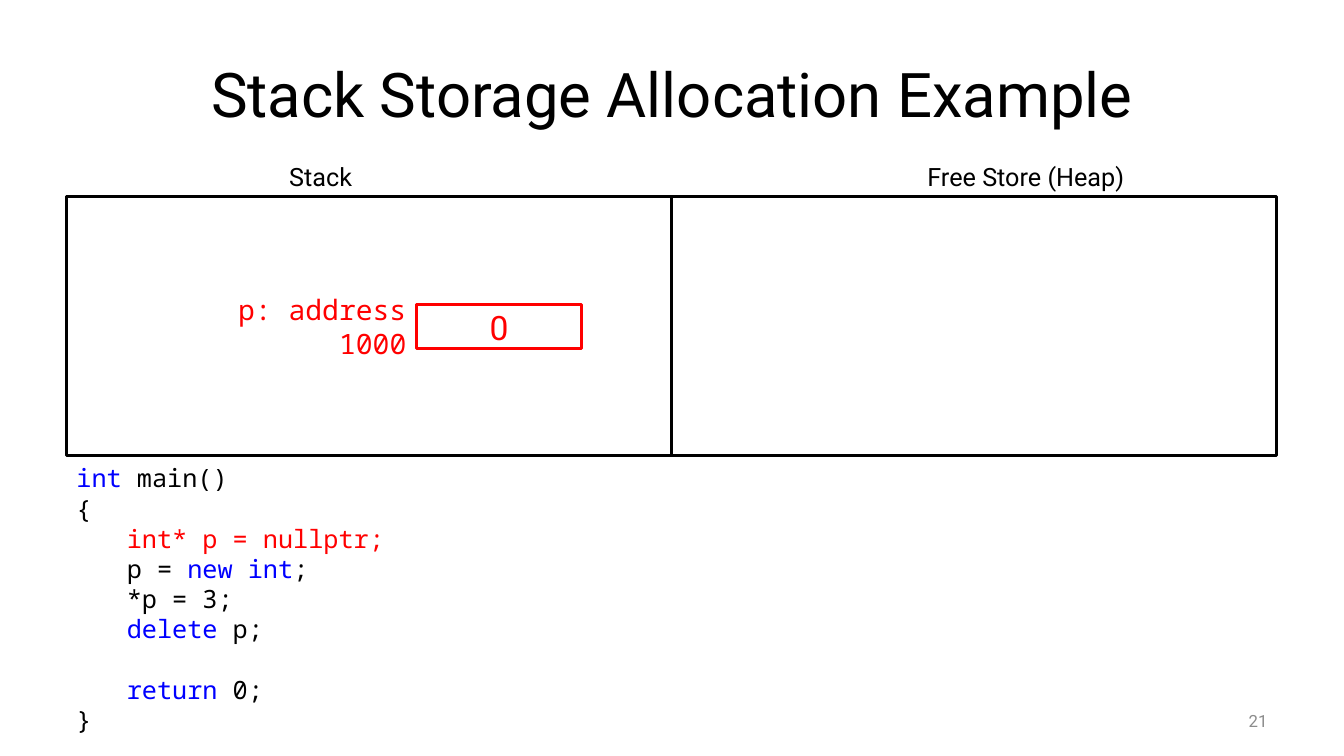
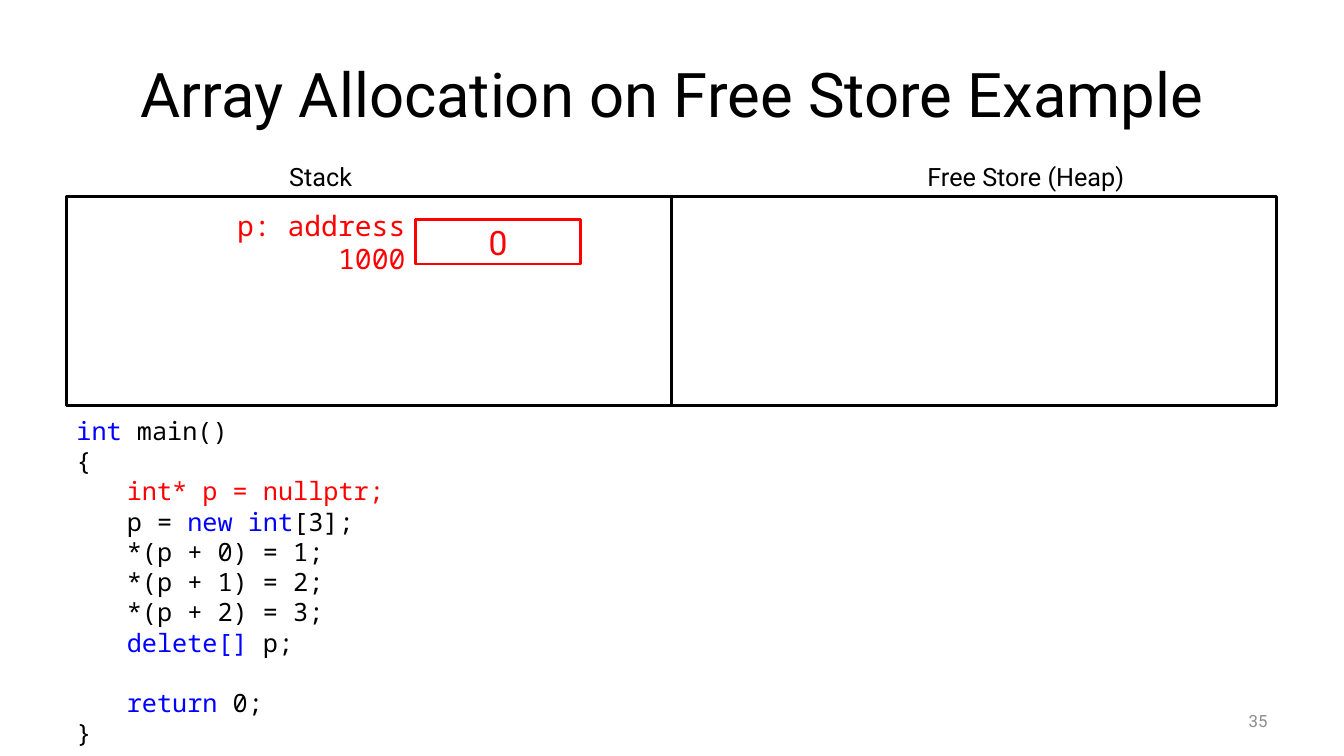
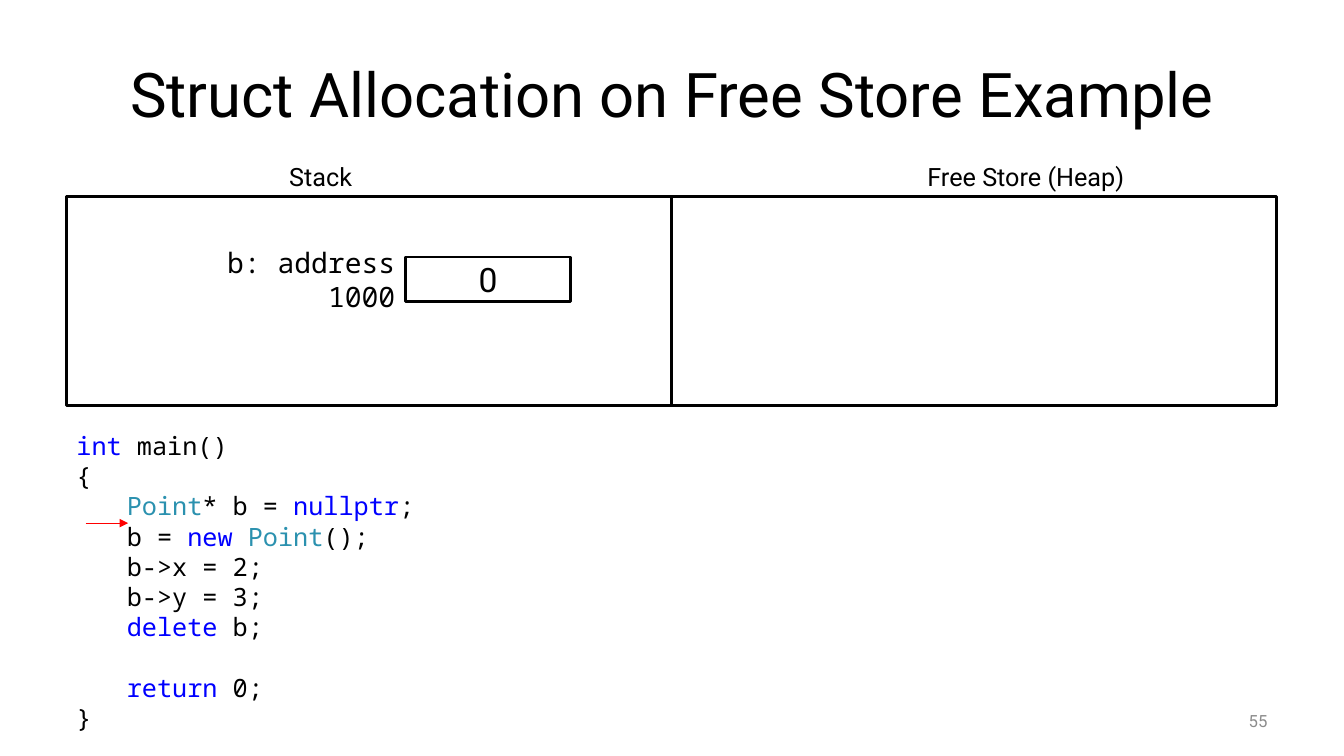
"""Build three slides that trace stack and free store allocation in C++."""
from dataclasses import dataclass

from lxml.etree import SubElement
from pptx import Presentation
from pptx.dml.color import RGBColor as RGB
from pptx.enum.shapes import MSO_CONNECTOR as Link, MSO_SHAPE as Shape
from pptx.enum.text import MSO_ANCHOR as Anchor, MSO_AUTO_SIZE as Fit, PP_ALIGN as Align
from pptx.oxml.ns import qn
from pptx.util import Inches, Pt


@dataclass(frozen=True)
class Theme:
    sans: str = "Roboto"
    mono: str = "Noto Sans Mono"
    ink: str = "000000"
    paper: str = "FFFFFF"
    red: str = "FF0000"
    blue: str = "0000FF"
    teal: str = "2B91AF"
    gray: str = "8C8C8C"
    title: int = 44
    value: int = 24
    name: int = 20
    body: int = 18
    foot: int = 12
    gap: float = 21.6
    edge: float = 2
    thin: float = 0.75


T = Theme()
LEFT, TOP, WIDE = 0.66, 1.95, 6
CELL_W, CELL_H, NAME_W = 1.64, 0.44, 2.58
HEADS = [("Stack", 2.77, 1.21), ("Free Store (Heap)", 9.1, 2.4)]

SLIDES = [
    dict(
        title="Stack Storage Allocation Example", num="21", high=2.57,
        cell=(4.13, 3.02), name="p: address 1000", hue=T.red, code_y=4.54,
        code=[
            [("int* p = nullptr;", T.red)],
            ["p = ", ("new int", T.blue), ";"],
            ["*p = 3;"],
            [("delete", T.blue), " p;"],
        ],
    ),
    dict(
        title="Array Allocation on Free Store Example", num="35", high=2.07,
        cell=(4.12, 2.18), name="p: address 1000", hue=T.red, code_y=4.07,
        code=[
            [("int* p = nullptr;", T.red)],
            ["p = ", ("new int", T.blue), "[3];"],
            ["*(p + 0) = 1;"],
            ["*(p + 1) = 2;"],
            ["*(p + 2) = 3;"],
            [("delete[]", T.blue), " p;"],
        ],
    ),
    dict(
        title="Struct Allocation on Free Store Example", num="55", high=2.07,
        cell=(4.02, 2.55), name="b: address 1000", hue=T.ink, code_y=4.22,
        code=[
            [("Point", T.teal), "* b = ", ("nullptr", T.blue), ";"],
            ["b = ", ("new ", T.blue), ("Point", T.teal), "();"],
            ["b->x = 2;"],
            ["b->y = 3;"],
            [("delete", T.blue), " b;"],
        ],
        arrow=(0.85, 1.27, 5.19),
    ),
]


def area(x, y, w, h):
    return [Inches(v) for v in (x, y, w, h)]


def text(shape, lines, size=T.body, font=T.sans, hue=T.ink,
         align=Align.LEFT, anchor=Anchor.TOP):
    frame = shape.text_frame
    frame.word_wrap = True
    frame.auto_size = Fit.NONE
    frame.vertical_anchor = anchor
    paras = []
    for i, line in enumerate([[lines]] if isinstance(lines, str) else lines):
        para = frame.add_paragraph() if i else frame.paragraphs[0]
        para.alignment = align
        for part in line:
            words, tint = (part, hue) if isinstance(part, str) else part
            run = para.add_run()
            run.text = words
            run.font.size = Pt(size)
            run.font.name = font
            run.font.color.rgb = RGB.from_string(tint)
        paras.append(para)
    return paras


def label(slide, words, *box, **form):
    return text(slide.shapes.add_textbox(*area(*box)), words, **form)


def rect(slide, *box, hue=T.ink):
    shape = slide.shapes.add_shape(Shape.RECTANGLE, *area(*box))
    shape.shadow.inherit = False
    shape.fill.solid()
    shape.fill.fore_color.rgb = RGB.from_string(T.paper)
    shape.line.color.rgb = RGB.from_string(hue)
    shape.line.width = Pt(T.edge)
    return shape


def arrow(slide, start, end, y):
    line = slide.shapes.add_connector(
        Link.STRAIGHT, Inches(start), Inches(y), Inches(end), Inches(y))
    line.line.color.rgb = RGB.from_string(T.red)
    line.line.width = Pt(T.thin)
    SubElement(line.line._get_or_add_ln(), qn("a:tailEnd"), type="triangle")
    SubElement(line._element.spPr, qn("a:effectLst"))


def listing(slide, y, body):
    last = [("return", T.blue), " 0;"]
    lines = [[("int ", T.blue), "main()"], ["{"], *body, last, ["}"]]
    paras = label(slide, lines, LEFT, y, 2 * WIDE, 0.1 + 0.3 * (len(lines) + 1),
                  font=T.mono)
    for para in paras[2:-1]:
        para.level = 1
        props = para._p.get_or_add_pPr()
        props.set("marL", str(Inches(0.5)))
        props.set("indent", "0")
    paras[-2].space_before = Pt(T.gap)


def build(deck, data):
    slide = deck.slides.add_slide(deck.slide_layouts[5])
    title = slide.shapes.title
    title.left, title.top, title.width, title.height = area(0.67, 0.3, 12, 1.25)
    text(title, data["title"], size=T.title, align=Align.CENTER, anchor=Anchor.MIDDLE)
    label(slide, data["num"], 9.56, 6.95, 3.11, 0.4, size=T.foot, hue=T.gray,
          align=Align.RIGHT, anchor=Anchor.MIDDLE)
    for i, (head, x, w) in enumerate(HEADS):
        rect(slide, LEFT + i * WIDE, TOP, WIDE, data["high"])
        label(slide, head, x, TOP - 0.4, w, 0.4)
    x, y = data["cell"]
    hue = data["hue"]
    cell = rect(slide, x, y, CELL_W, CELL_H, hue=hue)
    text(cell, "0", size=T.value, hue=hue, align=Align.CENTER, anchor=Anchor.MIDDLE)
    label(slide, data["name"], x - NAME_W, y, NAME_W, CELL_H, size=T.name,
          font=T.mono, hue=hue, align=Align.RIGHT, anchor=Anchor.MIDDLE)
    listing(slide, data["code_y"], data["code"])
    if "arrow" in data:
        arrow(slide, *data["arrow"])


def main():
    deck = Presentation()
    deck.slide_width, deck.slide_height = Inches(13.33), Inches(7.5)
    for data in SLIDES:
        build(deck, data)
    deck.save("out.pptx")


if __name__ == "__main__":
    main()
